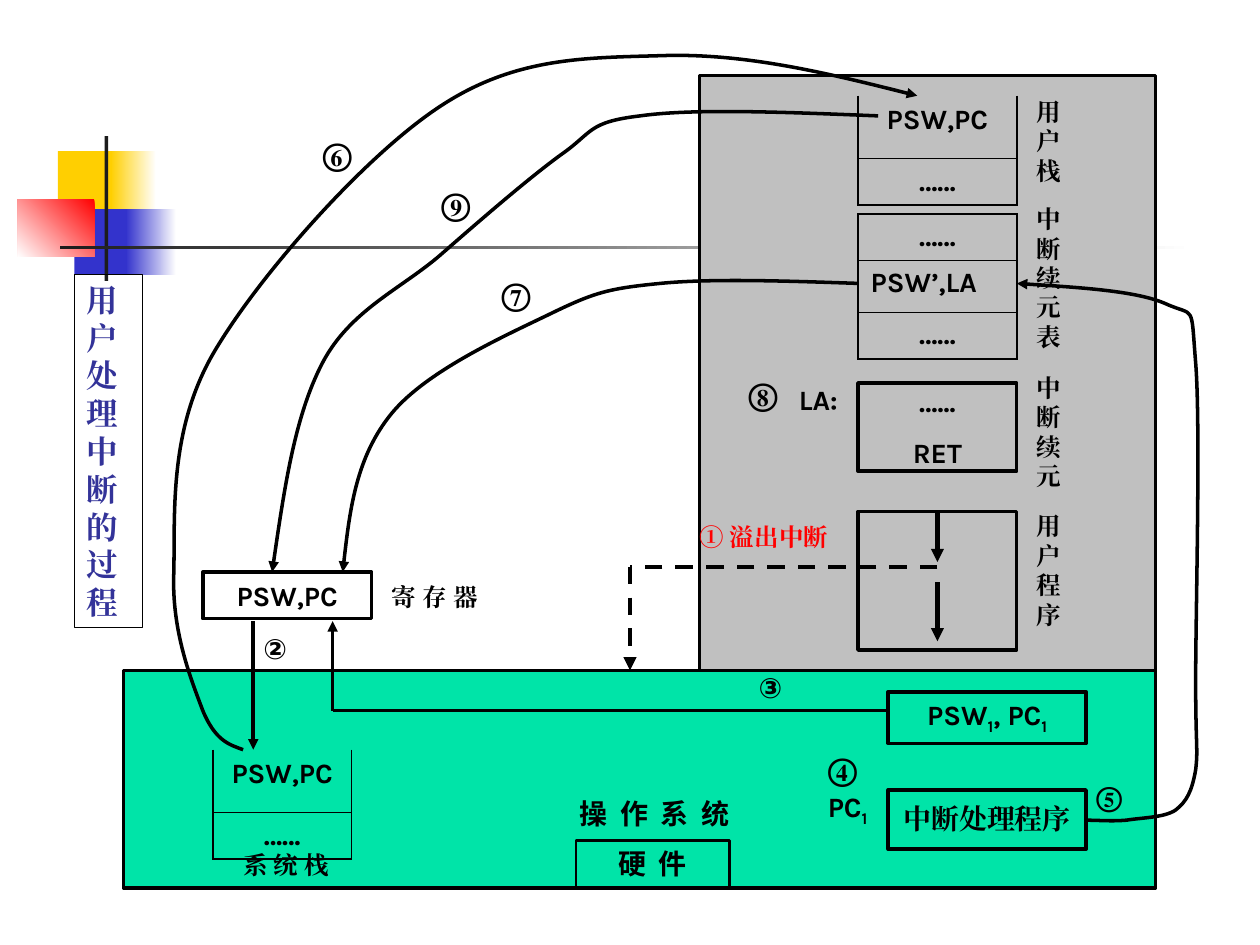
from pptx import Presentation
from pptx.dml.color import RGBColor
from pptx.enum.dml import MSO_LINE
from pptx.enum.shapes import MSO_CONNECTOR, MSO_SHAPE
from pptx.enum.text import MSO_ANCHOR, MSO_AUTO_SIZE, PP_ALIGN
from pptx.oxml.ns import qn
from pptx.util import Cm, Pt
from lxml.etree import SubElement

RECT = MSO_SHAPE.RECTANGLE
LINE = MSO_CONNECTOR.STRAIGHT
DASH = MSO_LINE.DASH
TOP, MID = MSO_ANCHOR.TOP, MSO_ANCHOR.MIDDLE
GROW, FIXED = MSO_AUTO_SIZE.SHAPE_TO_FIT_TEXT, MSO_AUTO_SIZE.NONE
LEFT, CENTER = PP_ALIGN.LEFT, PP_ALIGN.CENTER
LATIN, SERIF, SANS = "Karla", "Times New Roman", "Noto Sans CJK SC"
BLACK = "000000"
PAD = (0.1, 0.05, 0.1, 0.05)


def cm(inch):
    return Cm(inch * 2.54)


def rgb(code):
    return RGBColor.from_string(code)


def assign(item, values):
    for key, value in values.items():
        setattr(item, key, value)


class Canvas:
    def __init__(self, slide):
        self.slide = slide
        self.shapes = slide.shapes

    def letter(self, frame, text, size=16, face=LATIN, color=BLACK, align=LEFT, gap=0):
        for num, words in enumerate(text.split("\n")):
            para = frame.add_paragraph() if num else frame.paragraphs[0]
            para.alignment = align
            if num and gap:
                para.space_before = Pt(gap)
            for turn, part in enumerate(words.split("|")):
                if not part:
                    continue
                run = para.add_run()
                run.text = part
                assign(run.font, {"size": Pt(size), "bold": True, "name": face})
                run.font.color.rgb = rgb(color)
                props = run._r.get_or_add_rPr()
                SubElement(props, qn("a:ea"), typeface=face)
                if turn % 2:
                    props.set("baseline", "-25000")

    def fit(self, shape, pad, auto=GROW):
        frame = shape.text_frame
        sides = ("margin_left", "margin_top", "margin_right", "margin_bottom")
        assign(frame, dict(zip(sides, map(cm, pad))))
        assign(frame, {"word_wrap": True, "auto_size": auto, "vertical_anchor": TOP})
        return frame

    def block(self, area, fill=None, width=0):
        shape = self.shapes.add_shape(RECT, *map(cm, area))
        shape.shadow.inherit = False
        if fill:
            shape.fill.solid()
            shape.fill.fore_color.rgb = rgb(fill)
        else:
            shape.fill.background()
        if width:
            self.stroke(shape, width)
        else:
            shape.line.fill.background()
        return shape

    def fade(self, area, first, last, angle=180):
        fill = self.block(area).fill
        fill.gradient()
        fill.gradient_angle = angle
        for stop, color, place in zip(fill.gradient_stops, (first, last), (0, 1)):
            stop.color.rgb = rgb(color)
            stop.position = place

    def box(self, area, text, width=2, pad=PAD, auto=GROW, **style):
        shape = self.block(area, width=width)
        self.letter(self.fit(shape, pad, auto), text, **style)

    def label(self, area, text, pad=(0, 0, 0, 0), **style):
        shape = self.shapes.add_textbox(*map(cm, area))
        self.letter(self.fit(shape, pad), text, **style)

    def stroke(self, shape, width, arrow=False, dash=None):
        shape.line.color.rgb = rgb(BLACK)
        shape.line.width = Pt(width)
        if dash:
            shape.line.dash_style = dash
        if arrow:
            SubElement(shape.line._get_or_add_ln(), qn("a:tailEnd"), type="triangle")

    def link(self, start, end, width=2, arrow=True, dash=None):
        line = self.shapes.add_connector(LINE, *map(cm, start + end))
        self.stroke(line, width, arrow, dash)
        SubElement(line._element.spPr, qn("a:effectLst"))
        return line

    def curve(self, start, *points):
        pen = self.shapes.build_freeform(*map(cm, start))
        pen.add_line_segments([tuple(map(cm, spot)) for spot in points], close=False)
        shape = pen.convert_to_shape()
        shape.shadow.inherit = False
        shape.fill.background()
        self.stroke(shape, 2, arrow=True)
        steps = shape._element.xpath(".//a:lnTo")
        route = steps[0].getparent()
        for num in range(0, len(steps), 3):
            bend = SubElement(route, qn("a:cubicBezTo"))
            for step in steps[num:num + 3]:
                bend.append(step[0])
                route.remove(step)

    def edge(self, cell, sides):
        props = cell._tc.get_or_add_tcPr()
        for num, (side, width) in enumerate(sides.items()):
            line = props.makeelement(qn("a:" + side), {"w": str(Pt(width))})
            props.insert(num, line)
            if width:
                fill = SubElement(line, qn("a:solidFill"))
                SubElement(fill, qn("a:srgbClr"), val=BLACK)
            else:
                SubElement(line, qn("a:noFill"))

    def stack(self, left, top, width, rows, cap):
        count = len(rows)
        total = sum(high for high, _, _ in rows)
        frame = self.shapes.add_table(count, 1, *map(cm, (left, top, width, total)))
        table = frame.table
        assign(table, {"first_row": False, "horz_banding": False})
        for num, (high, text, align) in enumerate(rows):
            table.rows[num].height = cm(high)
            cell = table.cell(num, 0)
            cell.fill.background()
            cell.vertical_anchor = TOP if cap else MID
            self.letter(cell.text_frame, text, align=align)
            above = 0.45 if num else cap
            below = 0.45 if num < count - 1 else 1.08
            self.edge(cell, {"lnL": 1.08, "lnR": 1.08, "lnT": above, "lnB": below})


def main():
    deck = Presentation()
    assign(deck, {"slide_width": cm(10), "slide_height": cm(7.5)})
    art = Canvas(deck.slides.add_slide(deck.slide_layouts[6]))

    art.block((0.46, 1.2, 0.48, 0.52), "FFCF01")
    art.fade((0.88, 1.2, 0.36, 0.52), "FFFFFF", "FFCF01")
    art.block((0.59, 1.66, 0.46, 0.52), "3333CC")
    art.fade((1, 1.66, 0.4, 0.52), "FFFFFF", "3333CC")
    art.fade((0.14, 1.58, 0.61, 0.46), "FF0000", "FFFFFF", 225)
    art.block((0.83, 1.08, 0.03, 1.15), "1C1C1C")
    art.fade((0.48, 1.95, 9, 0.03), "FFFFFF", "1C1C1C")

    art.block((5.55, 0.6, 3.62, 4.72), "C0C0C0", 2)
    art.block((0.98, 5.32, 8.19, 1.73), "00E4A8", 2)
    art.box((4.57, 6.67, 1.22, 0.37), "硬  件", 1.5, face=SANS, align=CENTER)
    art.label((4.21, 6.32, 1.97, 0.27), "操  作  系  统", face=SANS, align=CENTER)
    art.box((7.05, 6.27, 1.57, 0.47), "中断处理程序", pad=(0.1, 0.09, 0.1, 0.05),
            auto=FIXED, face=SERIF, align=CENTER)
    art.box((7.05, 5.49, 1.57, 0.41), "PSW|1|, PC|1", align=CENTER)
    art.box((1.61, 4.54, 1.34, 0.37), "PSW,PC", align=CENTER)
    art.box((6.81, 3.04, 1.26, 0.7), "…...\nRET", pad=(0.06, 0.01, 0.06, 0.01),
            align=CENTER, gap=10)
    art.box((0.59, 2.18, 0.54, 2.8), "\n".join("用户处理中断的过程"), 0.75,
            size=18, face=SERIF, color="333399")
    user = art.block((6.81, 4.06, 1.26, 1.1), width=2)

    dots = (0.37, "……", CENTER)
    pair = [(0.5, "", CENTER), dots]
    art.stack(1.69, 5.95, 1.1, pair, 0)
    art.stack(6.81, 0.76, 1.26, pair, 0)
    art.stack(6.81, 1.7, 1.26, [dots, (0.41, "PSW’,LA", LEFT), dots], 1.08)
    for left, top in ((1.69, 5.95), (6.89, 0.76)):
        art.label((left, top, 1.1, 0.37), "PSW,PC", pad=PAD, align=CENTER)

    for area, text in (
        ((1.93, 6.75, 0.71, 0.23), "系 统 栈"),
        ((3.11, 4.62, 0.71, 0.23), "寄 存 器"),
        ((8.23, 0.77, 0.24, 0.7), "用\n户\n栈"),
        ((8.23, 1.62, 0.31, 1.17), "中断续元表"),
        ((8.23, 2.96, 0.31, 0.93), "中断续元"),
        ((8.23, 4.06, 0.31, 0.93), "用\n户\n程\n序"),
    ):
        art.label(area, text, size=14, face=SERIF)
    art.label((5.55, 4.14, 1.18, 0.23), "① 溢出中断", size=14, face=SERIF, color="FF0000")
    art.label((6.57, 6.27, 0.47, 0.3), "PC|1")
    art.label((6.34, 3.04, 0.39, 0.27), "LA:")
    for left, top, mark, size, face in (
        (2.09, 5.01, "②", 16, LATIN), (6.02, 5.32, "③", 16, LATIN),
        (6.57, 5.95, "④", 18, SERIF), (8.7, 6.19, "⑤", 16, SERIF),
        (2.56, 1.07, "⑥", 18, SERIF), (3.98, 2.18, "⑦", 18, SERIF),
        (5.94, 2.98, "⑧", 18, SERIF), (3.5, 1.47, "⑨", 18, SERIF),
    ):
        art.label((left, top, 0.31, 0.3), mark, size=size, face=face)

    art.link((7.44, 4.06), (7.44, 4.46), 2.5).begin_connect(user, 0)
    art.link((7.44, 4.62), (7.44, 5.09), 2.5)
    art.link((7.44, 4.5), (5, 4.5), 2.5, False, DASH)
    art.link((5, 4.5), (5, 5.32), 2.5, True, DASH)
    art.link((2.01, 4.93), (2.01, 5.95))
    art.link((7.05, 5.64), (2.64, 5.64), arrow=False)
    art.link((2.64, 5.64), (2.64, 4.93))

    art.curve((6.81, 2.25), (6.23, 2.23), (5.64, 2.21), (5.24, 2.25),
              (4.83, 2.29), (4.72, 2.32), (4.37, 2.49), (4.02, 2.66),
              (3.39, 2.94), (3.11, 3.28), (2.83, 3.62), (2.77, 4.08), (2.72, 4.54))
    art.curve((6.97, 0.92), (6.23, 0.89), (5.5, 0.86), (5.08, 0.92),
              (4.66, 0.97), (4.71, 1.05), (4.45, 1.23), (4.19, 1.42),
              (3.82, 1.74), (3.5, 2.02), (3.19, 2.29), (2.78, 2.46),
              (2.56, 2.88), (2.34, 3.3), (2.25, 3.92), (2.16, 4.54))
    art.curve((1.93, 5.95), (1.82, 5.91), (1.71, 5.88), (1.61, 5.64),
              (1.52, 5.4), (1.36, 5.01), (1.38, 4.54), (1.39, 4.07),
              (1.34, 3.42), (1.69, 2.81), (2.05, 2.19), (2.9, 1.23),
              (3.5, 0.84), (4.11, 0.44), (4.68, 0.46), (5.31, 0.44),
              (5.94, 0.43), (6.61, 0.59), (7.28, 0.76))
    art.curve((8.62, 6.51), (8.72, 6.51), (8.82, 6.52), (8.94, 6.51),
              (9.06, 6.49), (9.24, 6.49), (9.33, 6.43), (9.42, 6.36),
              (9.46, 6.28), (9.49, 6.11), (9.51, 5.94), (9.49, 5.94),
              (9.49, 5.4), (9.49, 4.87), (9.53, 3.38), (9.49, 2.88),
              (9.45, 2.39), (9.49, 2.52), (9.25, 2.41), (9.02, 2.31),
              (8.54, 2.28), (8.07, 2.25))
    deck.save("out.pptx")


if __name__ == "__main__":
    main()
